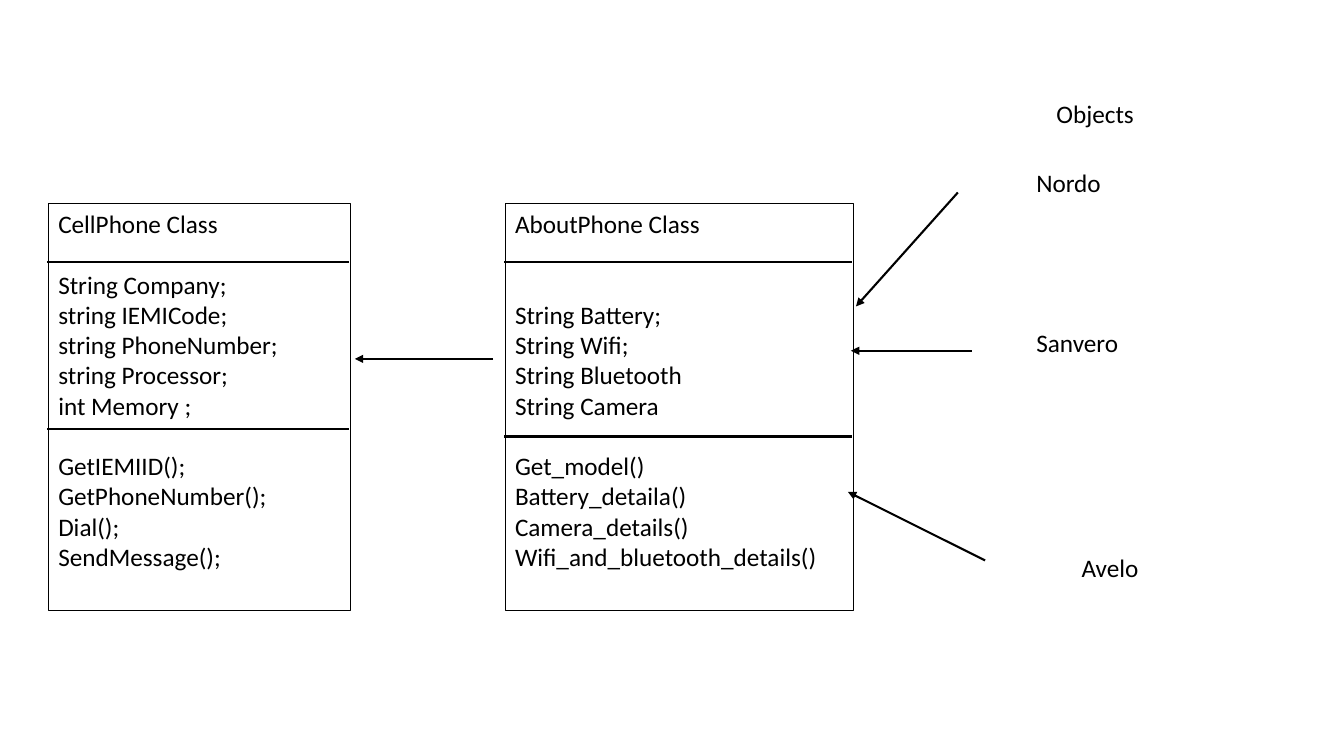
from lxml.etree import SubElement
from pptx import Presentation
from pptx.dml.color import RGBColor
from pptx.enum.shapes import MSO_CONNECTOR, MSO_SHAPE
from pptx.enum.text import MSO_ANCHOR, PP_ALIGN
from pptx.oxml.ns import qn
from pptx.util import Inches, Pt

BLACK = RGBColor(0, 0, 0)
LINE_HEIGHT = 21.6
BOX_TOP, BOX_HEIGHT = 2.02, 4.04

deck = Presentation()
deck.slide_width, deck.slide_height = Inches(13.33), Inches(7.5)
slide = deck.slides.add_slide(deck.slide_layouts[6])


def write(frame, sections, gaps=(0,)):
    """Fill a text frame with sections of lines, each after a gap in lines."""
    frame.word_wrap = True
    frame.vertical_anchor = MSO_ANCHOR.TOP
    paragraph = frame.paragraphs[0]
    for section, gap in zip(sections, gaps):
        for index, line in enumerate(section):
            if paragraph.text:
                paragraph = frame.add_paragraph()
            paragraph.text = line
            paragraph.alignment = PP_ALIGN.LEFT
            paragraph.space_before = Pt(0 if index else gap * LINE_HEIGHT)
            paragraph.font.name = "Calibri"
            paragraph.font.size = Pt(18)
            paragraph.font.color.rgb = BLACK


def draw_line(start, end, arrow=False):
    """Draw a black line, with an arrowhead at its end if asked."""
    connector = slide.shapes.add_connector(
        MSO_CONNECTOR.STRAIGHT, *map(Inches, start + end))
    connector.line.color.rgb = BLACK
    connector.line.width = Pt(1.5)
    if arrow:
        SubElement(connector.line._get_or_add_ln(), qn("a:tailEnd"), type="triangle")
    SubElement(connector._element.spPr, qn("a:effectLst"))


# Class boxes: left, width, lower divider, gaps before sections, sections
classes = [
    (0.48, 3, 4.26, (0, 1, 1), [
        ["CellPhone Class"],
        ["String Company;", "string\u00a0IEMICode;", "string\u00a0PhoneNumber;",
         "string Processor;", "int Memory ;"],
        ["GetIEMIID();", "GetPhoneNumber();", "Dial();", "SendMessage();"],
    ]),
    (5.01, 3.46, 4.33, (0, 2, 1), [
        ["AboutPhone Class"],
        ["String Battery;", "String Wifi;", "String Bluetooth", "String Camera"],
        ["Get_model()", "Battery_detaila()", "Camera_details()",
         "Wifi_and_bluetooth_details()"],
    ]),
]
for left, width, methods_top, gaps, sections in classes:
    class_box = slide.shapes.add_shape(
        MSO_SHAPE.RECTANGLE, Inches(left), Inches(BOX_TOP),
        Inches(width), Inches(BOX_HEIGHT))
    class_box.shadow.inherit = False
    class_box.fill.background()
    class_box.line.color.rgb = BLACK
    class_box.line.width = Pt(0.75)
    write(class_box.text_frame, sections, gaps)
    for divider in (2.6, methods_top):
        draw_line((left - 0.01, divider), (left + width - 0.02, divider))

# Arrows from AboutPhone to CellPhone, then from each object to AboutPhone
arrows = [
    ((4.89, 3.56), (3.52, 3.56)),
    ((9.5, 1.91), (8.49, 3.04)),
    ((9.64, 3.48), (8.44, 3.48)),
    ((9.77, 5.56), (8.41, 4.88)),
]
for start, end in arrows:
    draw_line(start, end, arrow=True)

# Heading and object names
labels = [
    ("Objects", 10.38, 0.93),
    ("Nordo", 10.18, 1.61),
    ("Sanvero", 10.18, 3.2),
    ("Avelo", 10.63, 5.43),
]
for name, left, top in labels:
    label = slide.shapes.add_textbox(Inches(left), Inches(top), Inches(3), Inches(0.4))
    write(label.text_frame, [[name]])

deck.save("out.pptx")
